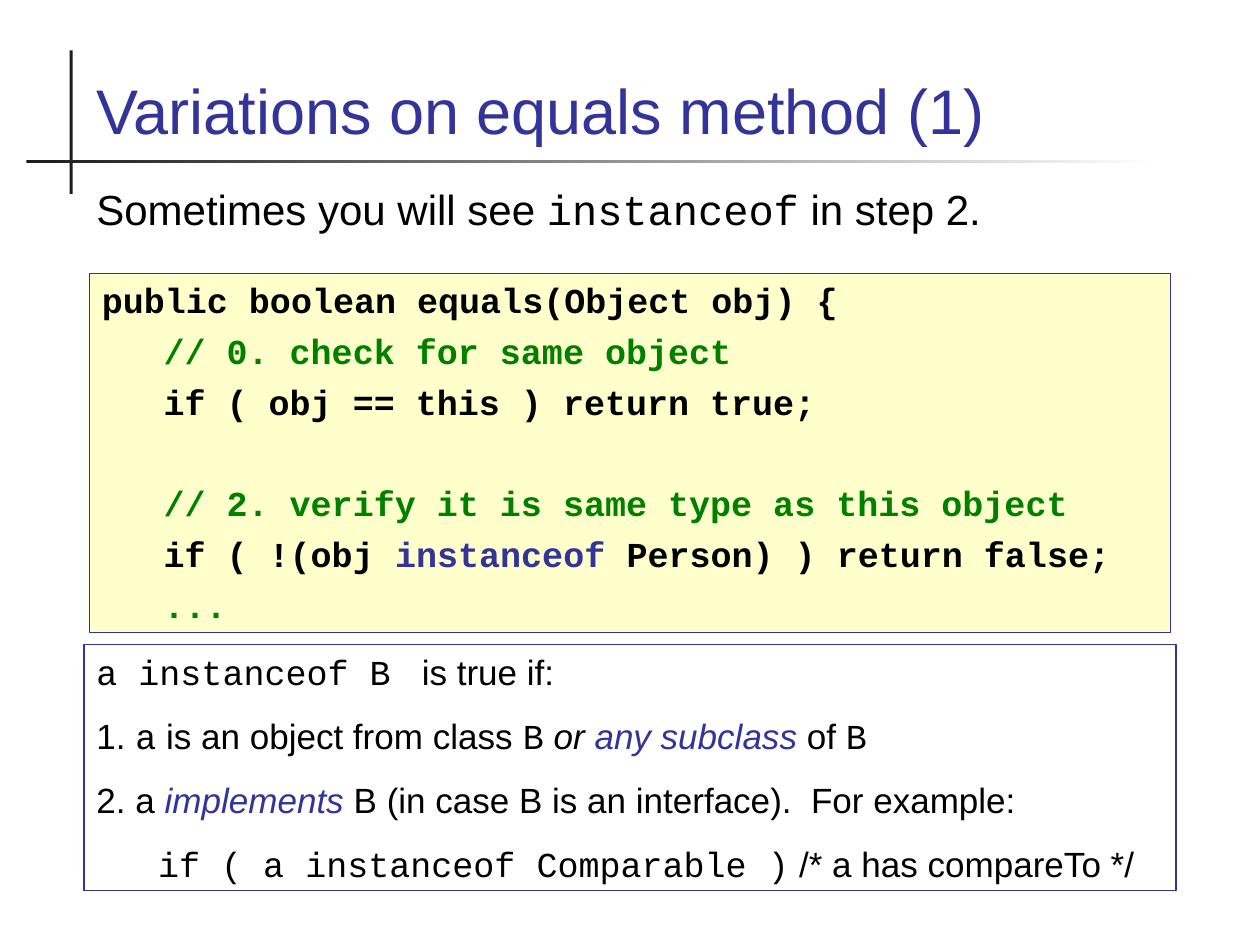
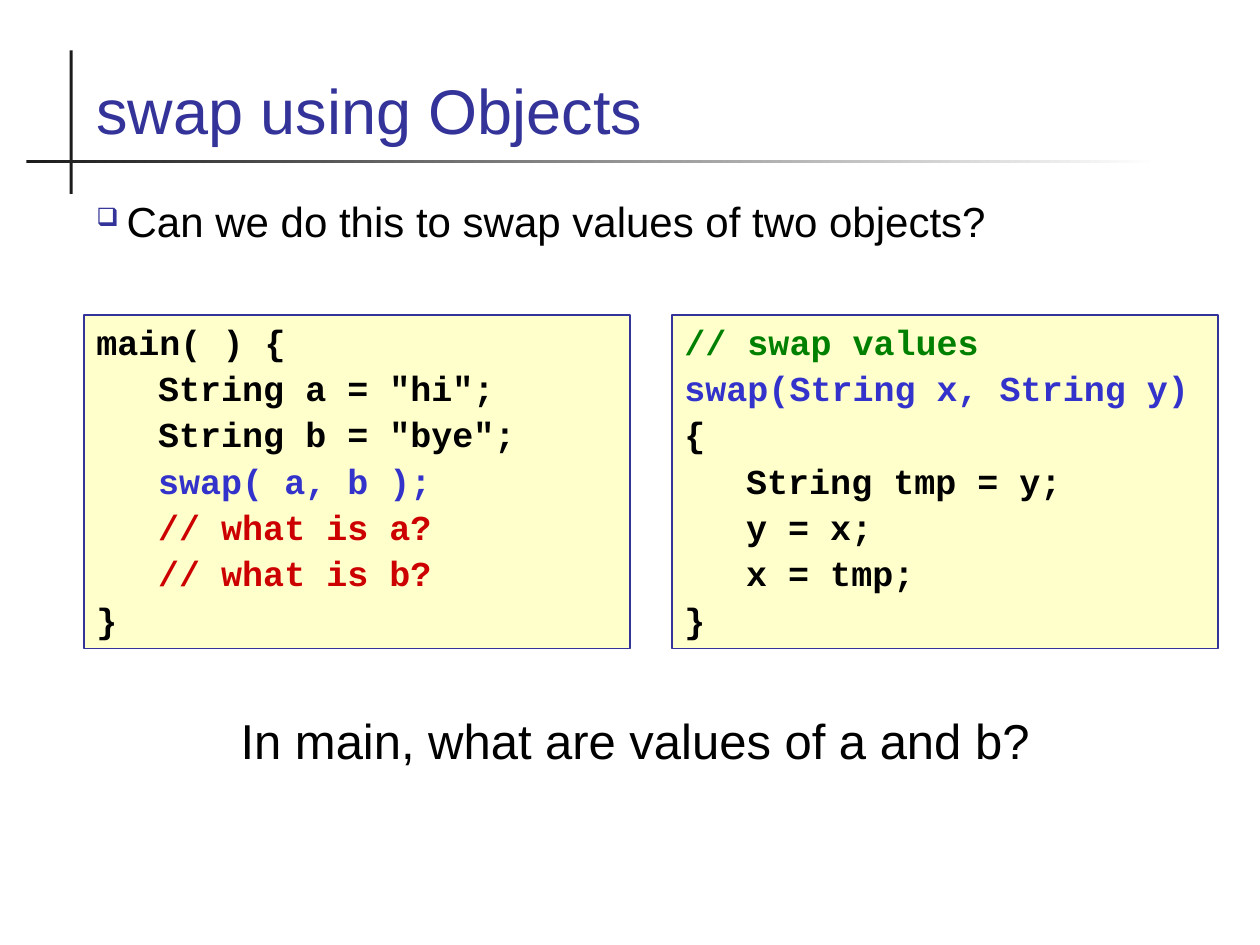
from dataclasses import dataclass, field
from typing import Any, NamedTuple, Optional

from lxml import etree
from pptx import Presentation, util as u
from pptx.dml.color import RGBColor
from pptx.enum import shapes, text
from pptx.oxml.ns import qn

WIDTH, HEIGHT = u.Inches(10), u.Inches(7.5)
COLUMNS, ROWS = 30, 75

NAVY = RGBColor(0x33, 0x33, 0x99)
BLUE = RGBColor(0x33, 0x33, 0xCC)
GREEN = RGBColor(0x00, 0x80, 0x00)
RED = RGBColor(0xCC, 0x00, 0x00)
BLACK = RGBColor(0x00, 0x00, 0x00)
INK = RGBColor(0x1C, 0x1C, 0x1C)
WHITE = RGBColor(0xFF, 0xFF, 0xFF)
CREAM = RGBColor(0xFF, 0xFF, 0xCC)

SANS, MONO = "Arial", "Courier New"
CODE_LINE = 24.1
TAB = u.Inches(0.49)
HANG = u.Inches(0.24)


class Area(NamedTuple):
    col: float
    row: float
    cols: float
    rows: float


class Run(NamedTuple):
    text: str
    color: RGBColor = BLACK
    font: dict[str, Any] = {}


@dataclass
class Para:
    runs: list[Run]
    skipped_lines: int = 0
    bullet: str = ""


@dataclass
class Box:
    area: Area
    paras: list[Para]
    font: dict[str, Any]
    gap: float = 0
    fill: Optional[RGBColor] = None
    outline: Optional[RGBColor] = None
    frame: dict[str, Any] = field(default_factory=dict)
    align: text.PP_ALIGN = text.PP_ALIGN.LEFT


def place(area: Area) -> tuple[int, int, int, int]:
    return (int(WIDTH * area.col / COLUMNS), int(HEIGHT * area.row / ROWS),
            int(WIDTH * area.cols / COLUMNS), int(HEIGHT * area.rows / ROWS))


def apply(target: Any, values: dict[str, Any]) -> None:
    for name, value in values.items():
        setattr(target, name, value)


def add_rect(s: Any, area: Area) -> Any:
    sp = s.shapes.add_shape(shapes.MSO_SHAPE.RECTANGLE, *place(area))
    sp.shadow.inherit = False
    sp.line.fill.background()
    return sp


def set_bullet(p: Any, char: str) -> None:
    props = p._p.get_or_add_pPr()
    props.set("marL", str(HANG))
    props.set("indent", str(-HANG))
    color = etree.SubElement(props, qn("a:buClr"))
    etree.SubElement(color, qn("a:srgbClr"), val=str(NAVY))
    etree.SubElement(props, qn("a:buSzPct"), val="60000")
    etree.SubElement(props, qn("a:buChar"), char=char)


def set_tab(p: Any) -> None:
    tabs = etree.SubElement(p._p.get_or_add_pPr(), qn("a:tabLst"))
    etree.SubElement(tabs, qn("a:tab"), pos=str(TAB), algn="l")


def write_para(p: Any, para: Para, box: Box, first: bool) -> None:
    if para.bullet:
        set_bullet(p, para.bullet)
    else:
        set_tab(p)
    p.alignment = box.align
    if not first:
        p.space_before = u.Pt(box.gap + para.skipped_lines * (CODE_LINE + box.gap))
    for run in para.runs:
        r = p.add_run()
        r.text = run.text
        apply(r.font, box.font | run.font)
        r.font.color.rgb = run.color


def add_box(s: Any, box: Box) -> None:
    if box.fill or box.outline:
        sp = add_rect(s, box.area)
        if box.fill:
            sp.fill.solid()
            sp.fill.fore_color.rgb = box.fill
        else:
            sp.fill.background()
        if box.outline:
            sp.line.color.rgb = box.outline
            sp.line.width = u.Pt(0.75)
    else:
        sp = s.shapes.add_textbox(*place(box.area))
    tf = sp.text_frame
    apply(tf, {"word_wrap": True, "vertical_anchor": text.MSO_ANCHOR.TOP} | box.frame)
    for i, para in enumerate(box.paras):
        p = tf.add_paragraph() if i else tf.paragraphs[0]
        write_para(p, para, box, first=not i)


def add_cross(s: Any) -> None:
    upright = add_rect(s, Area(1.66, 4, 0.07, 11.4))
    upright.fill.solid()
    upright.fill.fore_color.rgb = INK
    bar = add_rect(s, Area(0.63, 12.7, 26.97, 0.2))
    bar.fill.gradient()
    bar.fill.gradient_angle = 0
    for stop, color, position in zip(bar.fill.gradient_stops, (INK, WHITE), (0, 1)):
        stop.color.rgb = color
        stop.position = position


def add_slide(prs: Any, title: str, boxes: list[Box]) -> None:
    s = prs.slides.add_slide(prs.slide_layouts[6])
    add_cross(s)
    heading = Box(Area(2, 2.7, 26, 9.5), [Para([Run(title, NAVY)])], sans(36),
                  frame={"vertical_anchor": text.MSO_ANCHOR.BOTTOM})
    for box in [heading, *boxes]:
        add_box(s, box)


def sans(size: float) -> dict[str, Any]:
    return {"name": SANS, "size": u.Pt(size)}


def code_box(area: Area, paras: list[Para], gap: float) -> Box:
    font = {"name": MONO, "size": u.Pt(20), "bold": True}
    return Box(area, paras, font, gap, CREAM, NAVY, {"margin_top": u.Inches(0.04)})


def line(content: str, color: RGBColor = BLACK) -> Para:
    return Para([Run(content, color)])


def mono(content: str) -> Run:
    return Run(content, font={"name": MONO})


def italic(content: str, color: RGBColor = BLACK) -> Run:
    return Run(content, color, {"italic": True})


EQUALS_CODE = [
    line("public boolean equals(Object obj) {"),
    line("\t// 0. check for same object", GREEN),
    line("\tif ( obj == this ) return true;"),
    Para([Run("\t// 2. verify it is same type as this object", GREEN)], skipped_lines=1),
    Para([Run("\tif ( !(obj "), Run("instanceof", NAVY), Run(" Person) ) return false;")]),
    line("\t...", GREEN),
]

INSTANCEOF_RULES = [
    Para([mono("a instanceof B "), Run(" is true if:")]),
    Para([Run("1. "), mono("a"), Run(" is an object from class "), mono("B"),
          italic(" or "), italic("any subclass ", NAVY), Run("of "), mono("B")]),
    Para([Run("2. a "), italic("implements ", NAVY),
          Run("B (in case B is an interface).  For example:")]),
    Para([Run("\t"), mono("if ( a instanceof Comparable )"), Run(" /* a has compareTo */")]),
]

MAIN_CODE = [
    line("main( ) {"),
    line('\tString a = "hi";'),
    line('\tString b = "bye";'),
    line("\tswap( a, b );", BLUE),
    line("\t// what is a?", RED),
    line("\t// what is b?", RED),
    line("}"),
]

SWAP_CODE = [
    line("// swap values", GREEN),
    line("swap(String x, String y)", BLUE),
    line("{"),
    line("\tString tmp = y;"),
    line("\ty = x;"),
    line("\tx = tmp;"),
    line("}"),
]


def main() -> None:
    prs = Presentation()
    apply(prs, {"slide_width": WIDTH, "slide_height": HEIGHT})

    intro = Para([Run("Sometimes you will see "), mono("instanceof"), Run(" in step 2.")])
    add_slide(prs, "Variations on equals method (1)", [
        code_box(Area(2.13, 21.7, 25.74, 28.5), EQUALS_CODE, gap=5),
        Box(Area(2, 14.1, 26, 5), [intro], sans(24)),
        Box(Area(2, 51.15, 26, 19.55), INSTANCEOF_RULES, sans(20), gap=12.5, outline=NAVY),
    ])

    question = Para([Run("Can we do this to swap values of two objects?")], bullet="❑")
    listings = [code_box(Area(2 + 14 * i, 25, 13, 26.5), code, gap=2.5)
                for i, code in enumerate((MAIN_CODE, SWAP_CODE))]
    add_slide(prs, "swap using Objects", [
        Box(Area(2, 15, 26, 6.7), [question], sans(24)),
        *listings,
        Box(Area(1.89, 55.9, 26.46, 5.7), [line("In main, what are values of a and b?")],
            sans(28), align=text.PP_ALIGN.CENTER),
    ])
    prs.save("out.pptx")


if __name__ == "__main__":
    main()
